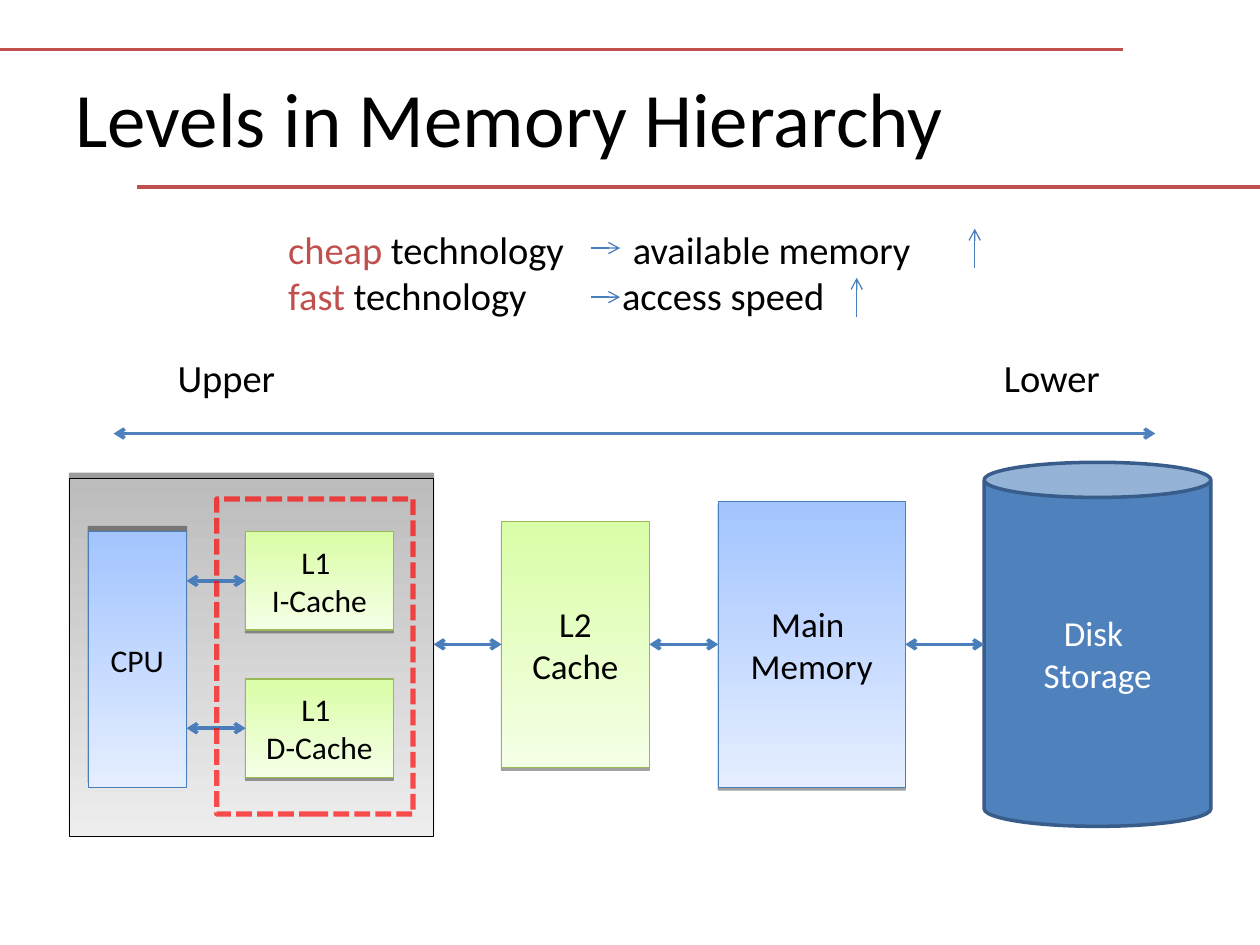
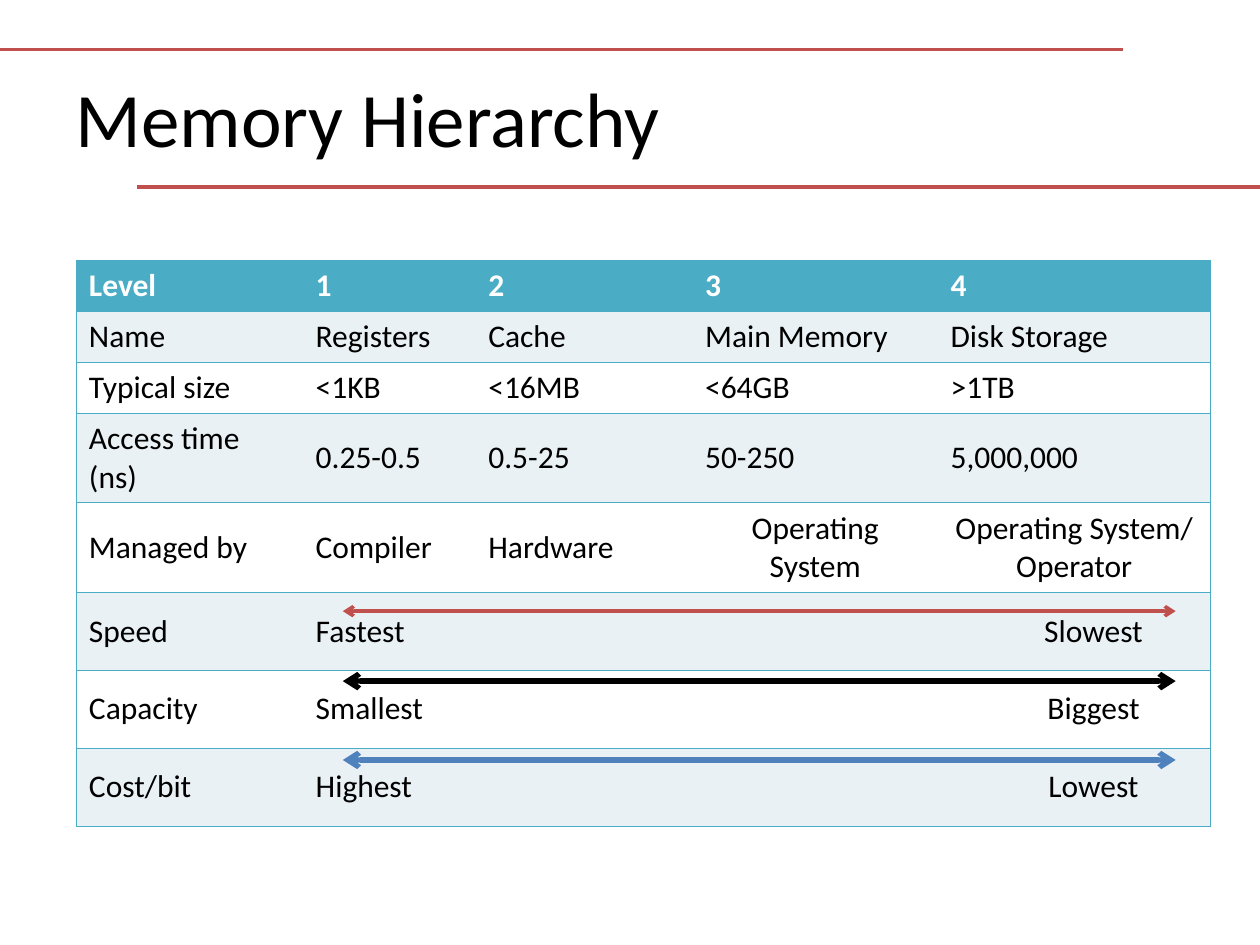
"""Build two slides on the levels of the memory hierarchy."""
from lxml import etree
from pptx import Presentation
from pptx.dml.color import RGBColor
from pptx.enum.dml import MSO_LINE
from pptx.enum.shapes import MSO_CONNECTOR, MSO_SHAPE
from pptx.enum.text import MSO_ANCHOR, PP_ALIGN
from pptx.oxml.ns import qn
from pptx.util import Cm, Pt

STRAIGHT = MSO_CONNECTOR.STRAIGHT
RECT, CAN = MSO_SHAPE.RECTANGLE, MSO_SHAPE.CAN
LEFT, CENTER = PP_ALIGN.LEFT, PP_ALIGN.CENTER
TOP, MIDDLE = MSO_ANCHOR.TOP, MSO_ANCHOR.MIDDLE
SITE_LEFT, SITE_RIGHT = 1, 3
TITLE_ONLY = 5

BLACK = RGBColor(0x00, 0x00, 0x00)
WHITE = RGBColor(0xFF, 0xFF, 0xFF)
RED = RGBColor(0xC0, 0x50, 0x4D)
DASH_RED = RGBColor(0xFF, 0x00, 0x00)
BLUE = RGBColor(0x4F, 0x81, 0xBD)
ARROW_BLUE = RGBColor(0x4A, 0x7E, 0xBB)
DARK_BLUE = RGBColor(0x38, 0x5D, 0x8A)
GREEN = RGBColor(0x98, 0xB9, 0x54)
TEAL = RGBColor(0x4B, 0xAC, 0xC6)
BAND = RGBColor(0xE9, 0xF1, 0xF5)
GRAY_GRADIENT = RGBColor(0xBC, 0xBC, 0xBC), RGBColor(0xED, 0xED, 0xED)
BLUE_GRADIENT = RGBColor(0xA3, 0xC4, 0xFF), RGBColor(0xE5, 0xEE, 0xFF)
GREEN_GRADIENT = RGBColor(0xDA, 0xFD, 0xA7), RGBColor(0xF5, 0xFF, 0xE6)

FONT = "Calibri"
SHADOW_ABOVE = 39, 3, 270
SHADOW_BELOW = 37, 1.6, 90
AXIS = 12.99

COLUMN_WIDTHS = [4.57, 3.48, 4.37, 4.95, 5.49]
ROW_HEIGHTS = [1.03] * 3 + [1.79] * 2 + [1.57] * 3
ROWS = [
    ["Level", "1", "2", "3", "4"],
    ["Name", "Registers", "Cache", "Main Memory", "Disk Storage"],
    ["Typical size", "<1KB", "<16MB", "<64GB", ">1TB"],
    ["Access time (ns)", "0.25-0.5", "0.5-25", "50-250", "5,000,000"],
    ["Managed by", "Compiler", "Hardware", "Operating System",
     "Operating System/\nOperator"],
    ["Speed", "Fastest\tSlowest"],
    ["Capacity", "Smallest\tBiggest"],
    ["Cost/bit", "Highest\tLowest"],
]


def sub(parent, tag, **attrs):
    """Append an XML child and return it."""
    return etree.SubElement(parent, qn(tag), {k: str(v) for k, v in attrs.items()})


def write(tf, lines, size, color=BLACK, align=LEFT, bold=False):
    """Fill a text frame; a line is a string or a list of (text, colour) runs."""
    for i, line in enumerate(lines):
        p = tf.add_paragraph() if i else tf.paragraphs[0]
        p.alignment = align
        for text, run_color in [(line, color)] if isinstance(line, str) else line:
            r = p.add_run()
            r.text = text
            r.font.name, r.font.size, r.font.bold = FONT, Pt(size), bold
            r.font.color.rgb = run_color


def set_tab(p, position, align="l"):
    """Give a paragraph one tab stop."""
    tabs = sub(p._p.get_or_add_pPr(), "a:tabLst")
    sub(tabs, "a:tab", pos=Cm(position), algn=align)


def add_line(slide, x1, y1, x2, y2, color=ARROW_BLUE, width=2, heads=""):
    """Draw a straight line; heads names the ends that carry an arrow."""
    line = slide.shapes.add_connector(STRAIGHT, Cm(x1), Cm(y1), Cm(x2), Cm(y2))
    line.line.color.rgb, line.line.width = color, Pt(width)
    for end in heads.split():
        sub(line.line._get_or_add_ln(), f"a:{end}End", type="arrow")
    sub(line._element.spPr, "a:effectLst")
    return line


def add_arrow(slide, *ends, **style):
    """Draw a line with arrows at both ends."""
    return add_line(slide, *ends, heads="head tail", **style)


def add_title(slide, text):
    """Place and write the slide title."""
    sp = slide.shapes.title
    sp.left, sp.top, sp.width, sp.height = Cm(1.27), Cm(0.76), Cm(22.86), Cm(3.18)
    sp.text_frame.vertical_anchor = MIDDLE
    write(sp.text_frame, [text], 44)


def add_layout_rules(slide):
    """Put the two red title rules on the layout that the slides share."""
    for ends in [(0, 1, 22.63, 1), (2.77, 3.77, 25.4, 3.77)]:
        line = add_line(slide, *ends, color=RED)
        slide.slide_layout.shapes.element.append(line.element)


def add_text(slide, x, y, w, h, lines, margins=(0, 0), anchor=MIDDLE):
    """Add a text box and return its text frame."""
    tf = slide.shapes.add_textbox(Cm(x), Cm(y), Cm(w), Cm(h)).text_frame
    tf.word_wrap, tf.vertical_anchor = True, anchor
    tf.margin_left = tf.margin_right = Cm(margins[0])
    tf.margin_top = tf.margin_bottom = Cm(margins[1])
    write(tf, lines, 22)
    return tf


def add_block(slide, x, y, w, h, line_color, line_width=0.75, kind=RECT):
    """Add an outlined shape without shadow."""
    sp = slide.shapes.add_shape(kind, Cm(x), Cm(y), Cm(w), Cm(h))
    sp.shadow.inherit = False
    sp.line.color.rgb, sp.line.width = line_color, Pt(line_width)
    return sp


def add_unit(slide, x, y, w, h, gradient, line_color, shadow, lines=(), size=18):
    """Add a labelled hardware unit with gradient and hard shadow."""
    sp = add_block(slide, x, y, w, h, line_color)
    sp.fill.gradient()
    sp.fill.gradient_angle = 270
    for stop, color in zip(sp.fill.gradient_stops, gradient):
        stop.color.rgb = color
    alpha, distance, angle = shadow
    effects = sp._element.spPr.find(qn("a:effectLst"))
    outer = sub(effects, "a:outerShdw", blurRad=0, dist=Pt(distance),
                dir=angle * 60000, rotWithShape=0)
    sub(sub(outer, "a:srgbClr", val=BLACK), "a:alpha", val=alpha * 1000)
    sp.text_frame.vertical_anchor = MIDDLE
    write(sp.text_frame, lines, size, align=CENTER)
    return sp


def set_borders(cell, sides):
    """Rule the given sides of a cell and clear the others."""
    tcPr = cell._tc.get_or_add_tcPr()
    for i, side in enumerate("LRTB"):
        ln = etree.Element(qn(f"a:ln{side}"), w=str(Pt(0.45)))
        if side in sides:
            sub(sub(ln, "a:solidFill"), "a:srgbClr", val=TEAL)
        else:
            sub(ln, "a:noFill")
        tcPr.insert(i, ln)


def add_levels_table(slide):
    """Add the table that compares the four levels."""
    table = slide.shapes.add_table(
        len(ROWS), len(COLUMN_WIDTHS), Cm(1.54), Cm(5.24),
        Cm(sum(COLUMN_WIDTHS)), Cm(sum(ROW_HEIGHTS))).table
    table.first_row = table.horz_banding = False
    for column, width in zip(table.columns, COLUMN_WIDTHS):
        column.width = Cm(width)
    last = len(COLUMN_WIDTHS) - 1
    for i, (texts, height) in enumerate(zip(ROWS, ROW_HEIGHTS)):
        table.rows[i].height = Cm(height)
        if len(texts) == 2:
            table.cell(i, 1).merge(table.cell(i, last))
        for j in range(last + 1):
            cell = table.cell(i, j)
            cell.fill.solid()
            cell.fill.fore_color.rgb = TEAL if i == 0 else BAND if i % 2 else WHITE
            at_right = j + cell.span_width > last
            set_borders(cell, "TB" + "L" * (j == 0) + "R" * at_right)
            if j >= len(texts):
                continue
            cell.vertical_anchor = MIDDLE
            align = CENTER if texts[0] == "Managed by" and j > 2 else LEFT
            write(cell.text_frame, texts[j].split("\n"), 18,
                  WHITE if i == 0 else BLACK, align, i == 0)
            if "\t" in texts[j]:
                set_tab(cell.text_frame.paragraphs[0], 15.68, "ctr")


def add_tradeoffs(slide):
    """Add the notes on cheap and fast technology with their arrows."""
    tf = add_text(slide, 5.56, 4.42, 14.3, 2.13, [
        [("cheap", RED), (" technology\tavailable memory", BLACK)],
        [("fast", RED), (" technology\taccess speed", BLACK)],
    ], (0.25, 0.13), TOP)
    for p, tab in zip(tf.paragraphs, (6.95, 6.73)):
        set_tab(p, tab)
    for y, rise_x, rise_y in [(5, 19.65, 5.41), (5.99, 17.27, 6.4)]:
        add_line(slide, 11.91, y, 12.5, y, width=0.75, heads="tail")
        add_line(slide, rise_x, rise_y, rise_x, rise_y - 0.8, width=0.75, heads="tail")


def add_processor(slide):
    """Add the processor chip with its CPU and first-level caches."""
    add_unit(slide, 1.4, 9.65, 7.34, 7.21, GRAY_GRADIENT, BLACK, SHADOW_ABOVE)
    add_unit(slide, 1.78, 10.72, 1.98, 5.16, BLUE_GRADIENT, ARROW_BLUE,
             SHADOW_ABOVE, ["CPU"])
    for i, name in enumerate(["I-Cache", "D-Cache"]):
        y = 10.72 + i * 2.97
        cache = add_unit(slide, 4.95, y, 2.98, 1.98, GREEN_GRADIENT, GREEN,
                         SHADOW_BELOW, ["L1 ", name])
        link = add_arrow(slide, 3.76, y + 0.99, 4.95, y + 0.99)
        link.end_connect(cache, SITE_LEFT)
    sp = add_block(slide, 4.37, 10.06, 3.96, 6.35, DASH_RED, 3)
    sp.fill.background()
    sp.line.dash_style = MSO_LINE.SQUARE_DOT
    color = sp.line._get_or_add_ln().find(".//" + qn("a:srgbClr"))
    sub(color, "a:alpha", val=67000)


def add_lower_levels(slide):
    """Add second-level cache, main memory and disk along one axis."""
    l2 = add_unit(slide, 10.11, AXIS - 2.48, 2.98, 4.96, GREEN_GRADIENT, GREEN,
                  SHADOW_BELOW, ["L2", "Cache"], 20)
    memory = add_unit(slide, 14.48, AXIS - 2.88, 3.77, 5.76, BLUE_GRADIENT,
                      ARROW_BLUE, SHADOW_BELOW, ["Main ", "Memory"], 20)
    disk = add_block(slide, 19.84, AXIS - 3.67, 4.57, 7.34, DARK_BLUE, 2, CAN)
    disk.adjustments[0] = 0.155
    disk.fill.solid()
    disk.fill.fore_color.rgb = BLUE
    disk.text_frame.vertical_anchor = MIDDLE
    write(disk.text_frame, ["Disk ", "Storage"], 20, WHITE, CENTER)
    links = [add_arrow(slide, x1, AXIS, x2, AXIS)
             for x1, x2 in [(8.74, 10.11), (13.09, 14.48), (18.25, 19.84)]]
    links[0].end_connect(l2, SITE_LEFT)
    links[1].begin_connect(l2, SITE_RIGHT)
    links[1].end_connect(memory, SITE_LEFT)
    links[2].begin_connect(memory, SITE_RIGHT)


def main():
    """Build both slides and save them."""
    prs = Presentation()
    prs.slide_width, prs.slide_height = Cm(25.4), Cm(19.05)
    layout = prs.slide_layouts[TITLE_ONLY]

    slide = prs.slides.add_slide(layout)
    add_layout_rules(slide)
    add_title(slide, "Levels in Memory Hierarchy")
    add_tradeoffs(slide)
    for x, text in [(3.58, "Upper"), (20.24, "Lower")]:
        add_text(slide, x, 7.14, 2.24, 0.94, [text])
    add_arrow(slide, 2.29, 8.74, 23.29, 8.74, color=BLUE)
    add_processor(slide)
    add_lower_levels(slide)

    slide = prs.slides.add_slide(layout)
    add_title(slide, "Memory Hierarchy")
    add_levels_table(slide)
    for y, color, width in [(12.32, RED, 2), (13.73, BLACK, 3), (15.32, BLUE, 3)]:
        add_arrow(slide, 6.91, y, 23.7, y, color=color, width=width)

    prs.save("out.pptx")


if __name__ == "__main__":
    main()
